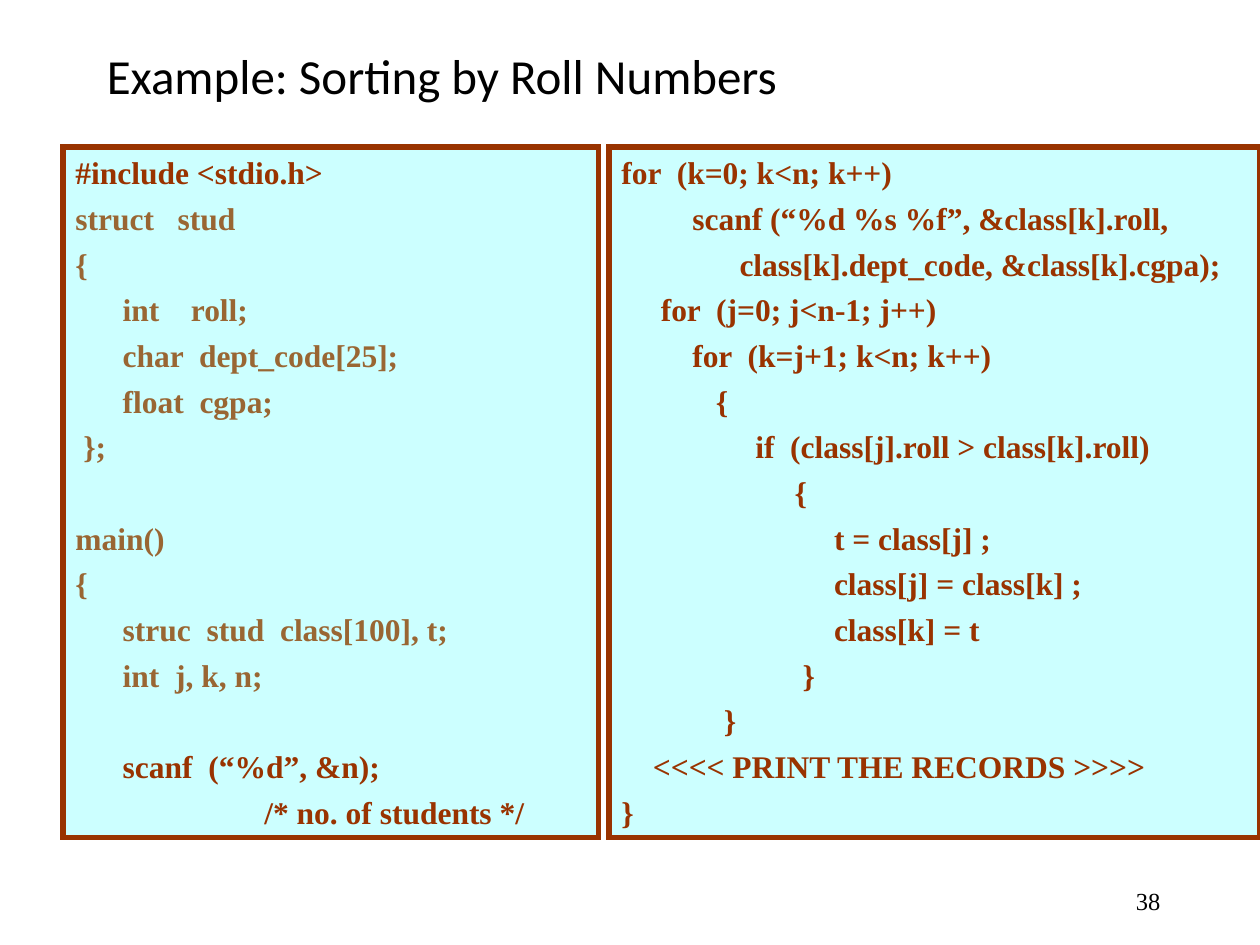
from dataclasses import dataclass

import lxml.etree
import pptx
import pptx.dml.color
import pptx.enum.shapes
import pptx.enum.text
import pptx.oxml.ns
import pptx.util

Pt = pptx.util.Pt
ALIGN = pptx.enum.text.PP_ALIGN
ANCHOR = pptx.enum.text.MSO_ANCHOR


@dataclass(frozen=True)
class Theme:
    title_font: str = "Calibri"
    body_font: str = "Times New Roman"
    title_size: float = 28
    code_size: float = 18
    number_size: float = 14
    ink: str = "000000"
    code: str = "993300"
    muted: str = "996633"
    panel: str = "CCFFFF"
    border: float = 3
    code_gap: float = 4.5
    line_height: float = 1.2


class SlideBuilder:
    """Places elements on a grid of 120 columns by 90 rows."""

    COLS, ROWS = 120, 90

    def __init__(self, prs, theme):
        self.theme = theme
        self.s = prs.slides.add_slide(prs.slide_layouts[6])
        self.col = prs.slide_width / self.COLS
        self.row = prs.slide_height / self.ROWS

    def box(self, x, y, w, h):
        return (round(x * self.col), round(y * self.row),
                round(w * self.col), round(h * self.row))

    def run(self, p, text, font, size, color, bold=False):
        r = p.add_run()
        r.text = text
        r.font.name, r.font.size, r.font.bold = font, Pt(size), bold
        r.font.color.rgb = pptx.dml.color.RGBColor.from_string(color)

    def label(self, place, text, font, size, align=ALIGN.LEFT, spacing=1.0):
        tf = self.s.shapes.add_textbox(*self.box(*place)).text_frame
        tf.word_wrap = True
        tf.vertical_anchor = ANCHOR.MIDDLE
        p = tf.paragraphs[0]
        p.alignment, p.line_spacing = align, spacing
        self.run(p, text, font, size, self.theme.ink)

    def code_panel(self, place, blocks):
        """Draw a panel of (colour, code) blocks.

        Leading spaces become paragraph indents, empty lines become space before.
        """
        t = self.theme
        sp = self.s.shapes.add_shape(
            pptx.enum.shapes.MSO_SHAPE.RECTANGLE, *self.box(*place))
        sp.shadow.inherit = False
        sp.fill.solid()
        sp.fill.fore_color.rgb = pptx.dml.color.RGBColor.from_string(t.panel)
        sp.line.color.rgb = pptx.dml.color.RGBColor.from_string(t.code)
        sp.line.width = Pt(t.border)
        ln = sp._element.spPr.find(pptx.oxml.ns.qn("a:ln"))
        lxml.etree.SubElement(ln, pptx.oxml.ns.qn("a:miter"), lim="800000")
        tf = sp.text_frame
        tf.word_wrap = True
        tf.vertical_anchor = ANCHOR.TOP
        p, gap = tf.paragraphs[0], t.code_gap
        for color, code in blocks:
            for line in code.splitlines():
                text = line.lstrip()
                if not text:
                    gap += t.code_size * t.line_height + t.code_gap
                    continue
                p = p if not p.runs else tf.add_paragraph()
                p.alignment, p.space_before = ALIGN.LEFT, Pt(gap)
                indent = (len(line) - len(text)) * t.code_size / 4
                pPr = p._p.get_or_add_pPr()
                pPr.set("marL", str(Pt(indent)))
                pPr.set("indent", "0")
                self.run(p, text, t.body_font, t.code_size, color, True)
                gap = t.code_gap


DECLARATIONS = """\
struct   stud
{
      int    roll;
      char  dept_code[25];
      float  cgpa;
 };

main()
{
      struc  stud  class[100], t;
      int  j, k, n;
"""

READ_COUNT = """\

      scanf  (“%d”, &n);
                        /* no. of students */
"""

SORTING = """\
for  (k=0; k<n; k++)
         scanf (“%d %s %f”, &class[k].roll,
               class[k].dept_code, &class[k].cgpa);
     for  (j=0; j<n-1; j++)
         for  (k=j+1; k<n; k++)
            {
                 if  (class[j].roll > class[k].roll)
                      {
                           t = class[j] ;
                           class[j] = class[k] ;
                           class[k] = t
                       }
             }
    <<<< PRINT THE RECORDS >>>>
}
"""


def main():
    prs = pptx.Presentation()
    prs.slide_width, prs.slide_height = pptx.util.Inches(10), pptx.util.Inches(7.5)
    t = Theme()
    b = SlideBuilder(prs, t)
    b.label((9, 4, 102, 7), "Example: Sorting by Roll Numbers",
            t.title_font, t.title_size, spacing=0.9)
    b.label((84.7, 83.4, 27, 4.8), "38", t.body_font, t.number_size, ALIGN.RIGHT)
    b.code_panel((6, 14, 51, 65.8), [(t.code, "#include <stdio.h>"),
                                     (t.muted, DECLARATIONS),
                                     (t.code, READ_COUNT)])
    b.code_panel((58, 14, 62, 65.8), [(t.code, SORTING)])
    prs.save("out.pptx")


if __name__ == "__main__":
    main()
